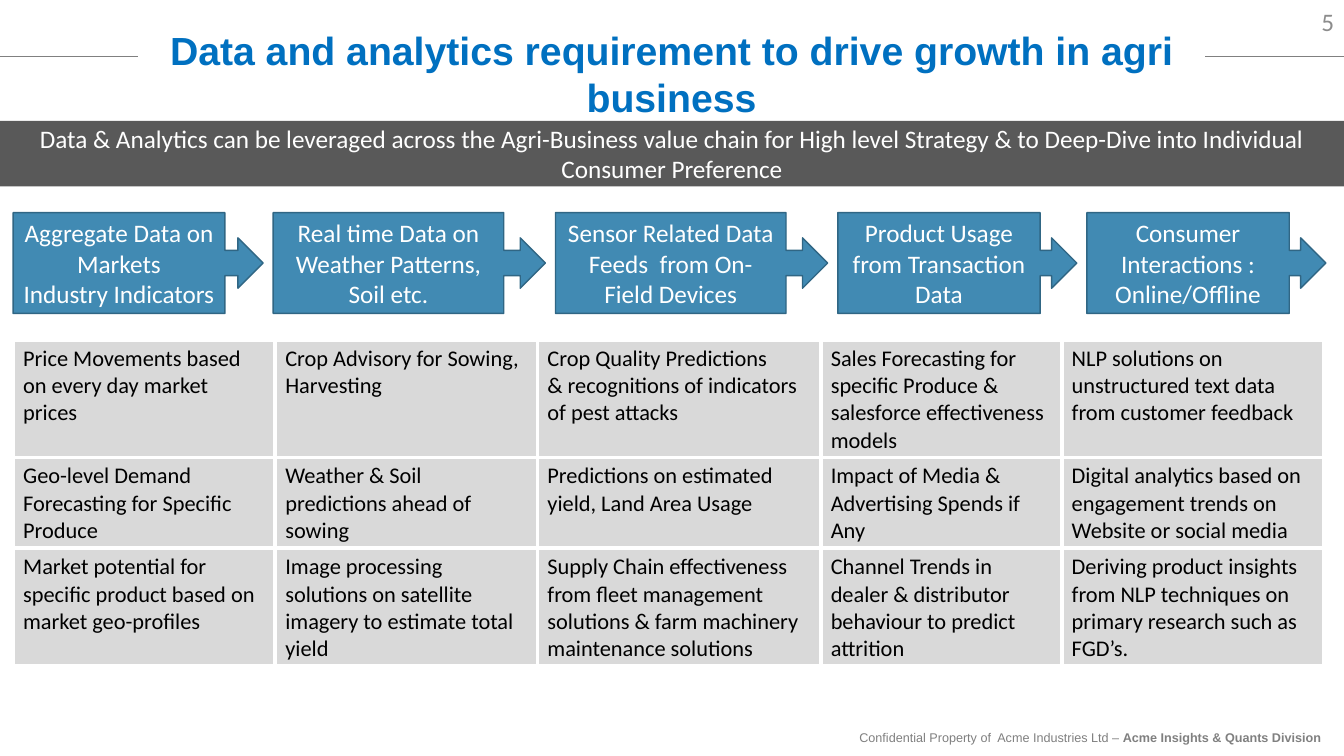
from pptx import Presentation
from pptx.dml.color import RGBColor
from pptx.enum.shapes import MSO_CONNECTOR as Connector, MSO_SHAPE as Shape
from pptx.enum.text import MSO_ANCHOR as Anchor, PP_ALIGN as Align
from pptx.oxml import parse_xml
from pptx.oxml.ns import nsdecls
from pptx.util import Inches, Pt

WIDTH, HEIGHT = 13.33, 7.5
MARGIN, GAP = 0.13, 0.1

# Each stage: box width, then its lines of text
STAGES = [
    (2.48, ["Aggregate Data on Markets", "Industry Indicators"]),
    (2.7, ["Real time Data on Weather Patterns, Soil etc."]),
    (2.7, ["Sensor Related Data Feeds  from On-Field Devices"]),
    (2.37, ["Product Usage from Transaction Data"]),
    (2.37, ["Consumer Interactions : Online/Offline"]),
]
COLUMN_WIDTHS = [2.6, 2.6, 2.81, 2.39, 2.6]
ROW_HEIGHTS = [1.17, 0.89, 1.17]
USE_CASES = [
    [
        ["Price Movements based on every day market prices"],
        ["Crop Advisory for Sowing, Harvesting"],
        ["Crop Quality Predictions", "& recognitions of indicators of pest attacks"],
        ["Sales Forecasting for specific Produce & salesforce effectiveness models"],
        ["NLP solutions on unstructured text data from customer feedback"],
    ],
    [
        ["Geo-level Demand Forecasting for Specific Produce"],
        ["Weather & Soil predictions ahead of sowing"],
        ["Predictions on estimated yield, Land Area Usage"],
        ["Impact of Media & Advertising Spends if Any"],
        ["Digital analytics based on engagement trends on Website or social media"],
    ],
    [
        ["Market potential for specific product based on market geo-profiles"],
        ["Image processing solutions on satellite imagery to estimate total yield"],
        ["Supply Chain effectiveness from fleet management solutions "
         "& farm machinery maintenance solutions"],
        ["Channel Trends in dealer & distributor behaviour to predict attrition"],
        ["Deriving product insights from NLP techniques on primary research such as FGD’s."],
    ],
]


def color(value):
    return RGBColor.from_string(value)


def write(frame, lines, size, ink, font="Calibri", align=Align.CENTER, bold=False):
    """Fill a text frame with one paragraph per line."""
    frame.word_wrap = True
    for index, line in enumerate(lines):
        paragraph = frame.add_paragraph() if index else frame.paragraphs[0]
        paragraph.text = line
        paragraph.alignment = align
        paragraph.font.size = Pt(size)
        paragraph.font.name = font
        paragraph.font.bold = bold
        paragraph.font.color.rgb = color(ink)


def add_box(slide, kind, box, fill, line=None):
    shape = slide.shapes.add_shape(kind, *map(Inches, box))
    shape.shadow.inherit = False
    shape.fill.solid()
    shape.fill.fore_color.rgb = color(fill)
    if line:
        shape.line.color.rgb = color(line)
        shape.line.width = Pt(1)
    else:
        shape.line.fill.background()
    shape.text_frame.vertical_anchor = Anchor.MIDDLE
    return shape


def add_header(slide, left, top, width):
    # Rule running behind the title
    rule_y = Inches(top + 0.56)
    rule = slide.shapes.add_connector(
        Connector.STRAIGHT, Inches(left), rule_y, Inches(left + width), rule_y)
    rule.line.color.rgb = color("808080")
    rule.line.width = Pt(0.5)
    rule._element.spPr.append(parse_xml(f"<a:effectLst {nsdecls('a')}/>"))

    # Slide number
    number = slide.shapes.add_textbox(
        Inches(left + width - 3), Inches(top + 0.01), Inches(3), Inches(0.4))
    number.text_frame.vertical_anchor = Anchor.MIDDLE
    write(number.text_frame, ["5"], 18, "8C8C8C", align=Align.RIGHT)

    # Title
    title = add_box(slide, Shape.RECTANGLE, (left + 1.37, top + 0.21, 10.58, 1.04), "FFFFFF")
    write(title.text_frame, ["Data and analytics requirement to drive growth in agri business"],
          28, "0070C0", font="Arial", bold=True)


def add_banner(slide, left, top, width, height):
    banner = add_box(slide, Shape.RECTANGLE, (left, top, width, height), "595959")
    write(banner.text_frame,
          ["Data & Analytics can be leveraged across the Agri-Business value chain for "
           "High level Strategy & to Deep-Dive into Individual Consumer Preference"],
          18, "FFFFFF")


def add_stages(slide, left, top, height):
    for width, lines in STAGES:
        stage = add_box(slide, Shape.RIGHT_ARROW_CALLOUT, (left, top, width, height),
                        "418AB3", "306684")
        stage.adjustments[3] = 0.847
        write(stage.text_frame, lines, 18, "FFFFFF")
        left += width + GAP


def set_borders(cell, ink, points):
    properties = cell._tc.get_or_add_tcPr()
    for side in ("lnL", "lnR", "lnT", "lnB"):
        properties.append(parse_xml(
            f'<a:{side} {nsdecls("a")} w="{Pt(points)}"><a:solidFill>'
            f'<a:srgbClr val="{ink}"/></a:solidFill></a:{side}>'))


def add_use_cases(slide, left, top):
    table = slide.shapes.add_table(
        len(ROW_HEIGHTS), len(COLUMN_WIDTHS), Inches(left), Inches(top),
        Inches(sum(COLUMN_WIDTHS)), Inches(sum(ROW_HEIGHTS))).table
    table.first_row = table.horz_banding = False
    for column, width in zip(table.columns, COLUMN_WIDTHS):
        column.width = Inches(width)
    for row, height, entries in zip(table.rows, ROW_HEIGHTS, USE_CASES):
        row.height = Inches(height)
        for cell, lines in zip(row.cells, entries):
            set_borders(cell, "FFFFFF", 3)
            cell.fill.solid()
            cell.fill.fore_color.rgb = color("D9D9D9")
            write(cell.text_frame, lines, 16, "000000", align=Align.LEFT)


def add_footer(slide, left, top, width, height):
    footer = slide.shapes.add_textbox(*map(Inches, (left, top, width, height)))
    write(footer.text_frame, ["Confidential Property of  Acme Industries Ltd – "],
          9, "808080", font="Arial", align=Align.RIGHT)
    division = footer.text_frame.paragraphs[0].add_run()
    division.text = "Acme Insights & Quants Division"
    division.font.bold = True


def main():
    presentation = Presentation()
    presentation.slide_width = Inches(WIDTH)
    presentation.slide_height = Inches(HEIGHT)
    slide = presentation.slides.add_slide(presentation.slide_layouts[6])
    add_header(slide, 0, 0, WIDTH)
    add_stages(slide, MARGIN, 2.11, 1)
    add_use_cases(slide, MARGIN, 3.37)
    add_banner(slide, 0, 1.2, WIDTH, 0.65)
    add_footer(slide, 6.53, 7.19, 6.67, 0.25)
    presentation.save("out.pptx")


if __name__ == "__main__":
    main()
